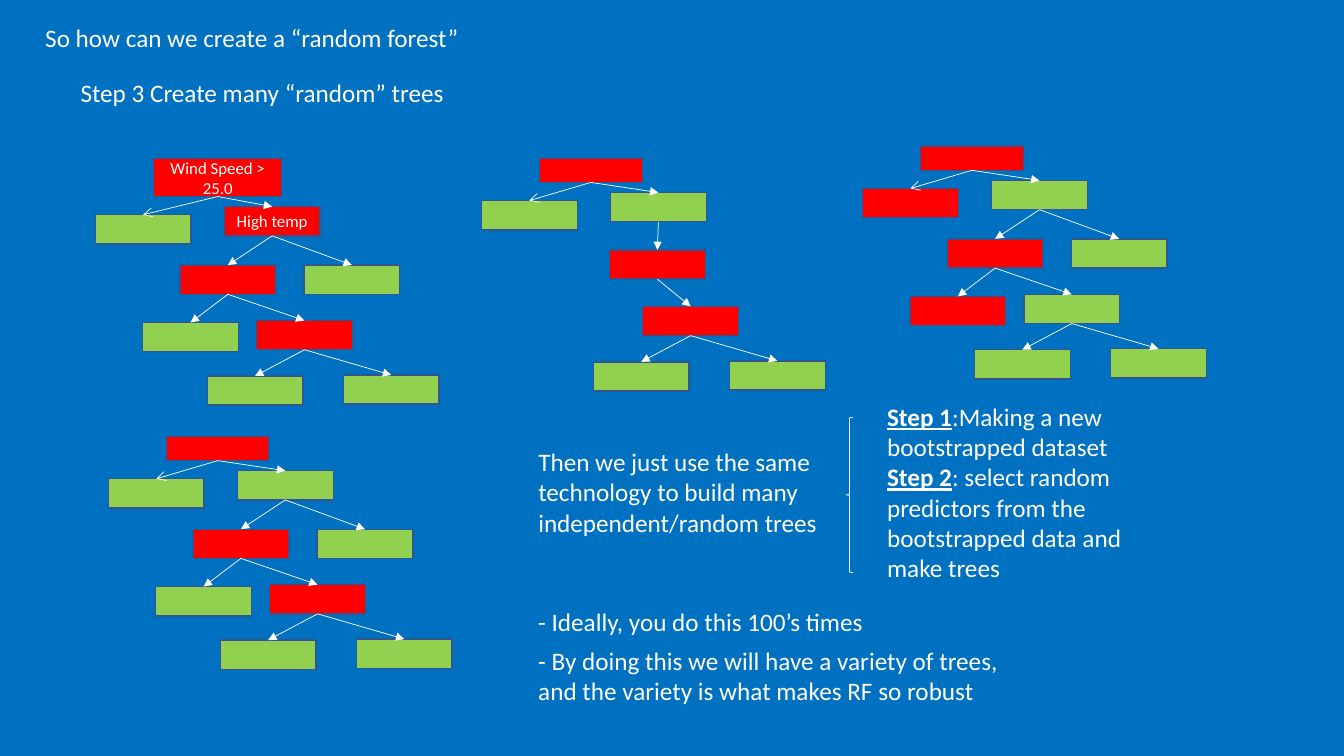
from dataclasses import dataclass

from lxml import etree
from pptx import Presentation
from pptx import util as u
from pptx.dml.color import RGBColor
from pptx.enum import shapes, text
from pptx.oxml.ns import qn


@dataclass(frozen=True)
class Theme:
    font: str = "Calibri"
    body: int = 18
    label: int = 12
    background: str = "0070C0"
    ink: str = "FFFFFF"
    split: str = "FF0000"
    leaf: str = "92D050"
    border: str = "325491"
    border_width: float = 1
    link_width: float = 0.5


THEME = Theme()
NODE_SIZE = (0.95, 0.29)
ROOT_SIZE = (1.02, 0.24)

# Each node: parent, then top-centre offset (inches) from the tree's origin.
BRANCHES = {
    "left": ("root", -0.61, 0.42),
    "right": ("root", 0.67, 0.34),
    "middle": ("right", 0.23, 0.92),
    "middle side": ("right", 1.46, 0.92),
    "low left": ("middle", -0.14, 1.49),
    "low": ("middle", 0.99, 1.47),
    "bottom right": ("low", 1.85, 2.01),
    "bottom left": ("low", 0.5, 2.02),
}
CHAIN = {name: place for name, place in BRANCHES.items()
         if name not in ("middle side", "low left")}
CHAIN["middle"] = ("right", 0.66, 0.91)


def color(name):
    return RGBColor.from_string(name)


def style_text(para, size):
    para.font.name = THEME.font
    para.font.size = u.Pt(size)
    para.font.color.rgb = color(THEME.ink)


def add_node(page, center, top, size, fill, label=""):
    width, height = size
    box = page.shapes.add_shape(
        shapes.MSO_SHAPE.RECTANGLE, u.Inches(center - width / 2), u.Inches(top),
        u.Inches(width), u.Inches(height))
    box.shadow.inherit = False
    box.fill.solid()
    box.fill.fore_color.rgb = color(fill)
    box.line.color.rgb = color(THEME.border)
    box.line.width = u.Pt(THEME.border_width)
    if label:
        frame = box.text_frame
        frame.text = label
        frame.word_wrap = True
        frame.vertical_anchor = text.MSO_ANCHOR.MIDDLE
        para = frame.paragraphs[0]
        para.alignment = text.PP_ALIGN.CENTER
        style_text(para, THEME.label)
    return box


def add_link(page, parent, child, head):
    """Draw an arrow from the parent's bottom centre to the child's top centre."""
    link = page.shapes.add_connector(
        shapes.MSO_CONNECTOR.STRAIGHT,
        parent.left + parent.width // 2, parent.top + parent.height,
        child.left + child.width // 2, child.top)
    link.begin_connect(parent, 2)
    link.end_connect(child, 0)
    link.line.color.rgb = color(THEME.ink)
    link.line.width = u.Pt(THEME.link_width)
    etree.SubElement(link.line._get_or_add_ln(), qn("a:tailEnd"), type=head)
    etree.SubElement(link._element.spPr, qn("a:effectLst"))


def add_tree(page, origin, branches, splits, labels=None,
             root_size=ROOT_SIZE, root_shift=(0, 0)):
    """Draw a tree whose nodes named in splits are red and the others green."""
    x, y = origin
    labels = labels or {}
    nodes = {"root": add_node(page, x + root_shift[0], y + root_shift[1],
                              root_size, THEME.split, labels.get("root", ""))}
    for name, (parent, dx, dy) in branches.items():
        fill = THEME.split if name in splits else THEME.leaf
        nodes[name] = add_node(page, x + dx, y + dy, NODE_SIZE, fill,
                               labels.get(name, ""))
        add_link(page, nodes[parent], nodes[name],
                 "arrow" if name == "left" else "triangle")


def add_forest(page):
    add_tree(page, (2.03, 1.71), BRANCHES, {"right", "middle", "low"},
             {"root": "Wind Speed > 25.0", "right": "High temp"},
             root_size=(1.27, 0.38), root_shift=(0.13, -0.14))
    add_tree(page, (5.86, 1.57), CHAIN, {"middle", "low"})
    add_tree(page, (9.64, 1.45), BRANCHES, {"left", "middle", "low left"})
    add_tree(page, (2.16, 4.33), BRANCHES, {"middle", "low"})


def add_text(page, place, paragraphs, wrap=True):
    """Add paragraphs, each a list of (wording, is_key) spans."""
    box = page.shapes.add_textbox(*map(u.Inches, place))
    frame = box.text_frame
    frame.word_wrap = wrap
    frame.auto_size = text.MSO_AUTO_SIZE.SHAPE_TO_FIT_TEXT
    for index, spans in enumerate(paragraphs):
        para = frame.add_paragraph() if index else frame.paragraphs[0]
        style_text(para, THEME.body)
        for wording, is_key in spans:
            span = para.add_run()
            span.text = wording
            if is_key:
                span.font.bold = True
                span.font.underline = True


def add_headings(page):
    for place, wording in (
            ((0.35, 0.17, 4.35, 0.4), "So how can we create a “random forest”"),
            ((0.7, 0.72, 3.85, 0.4), "Step 3 Create many “random” trees")):
        add_text(page, place, [[(wording, False)]], wrap=False)


def add_explanation(page, left):
    add_text(page, (left, 4.38, 3.95, 1.01), [[(
        "Then we just use the same technology to build many "
        "independent/random trees", False)]])
    add_text(page, (left + 3.46, 3.93, 2.8, 1.92), [
        [("Step 1", True), (":Making a new bootstrapped dataset", False)],
        [("Step 2", True), (": select random predictors from the "
                            "bootstrapped data and make trees", False)]])
    brace = page.shapes.add_shape(
        shapes.MSO_SHAPE.LEFT_BRACE, *map(u.Inches, (left + 3.15, 4.14, 0.07, 1.54)))
    brace.shadow.inherit = False
    brace.fill.background()
    brace.line.color.rgb = color(THEME.ink)
    brace.line.width = u.Pt(THEME.link_width)
    add_text(page, (left, 5.97, 3.46, 0.4),
             [[("- Ideally, you do this 100’s times", False)]], wrap=False)
    add_text(page, (left, 6.35, 4.9, 0.71), [[(
        "- By doing this we will have a variety of trees, "
        "and the variety is what makes RF so robust", False)]])


def main():
    deck = Presentation()
    deck.slide_width = u.Inches(13.33)
    deck.slide_height = u.Inches(7.5)
    page = deck.slides.add_slide(deck.slide_layouts[6])
    page.background.fill.solid()
    page.background.fill.fore_color.rgb = color(THEME.background)
    add_headings(page)
    add_forest(page)
    add_explanation(page, 5.24)
    deck.save("out.pptx")


if __name__ == "__main__":
    main()
